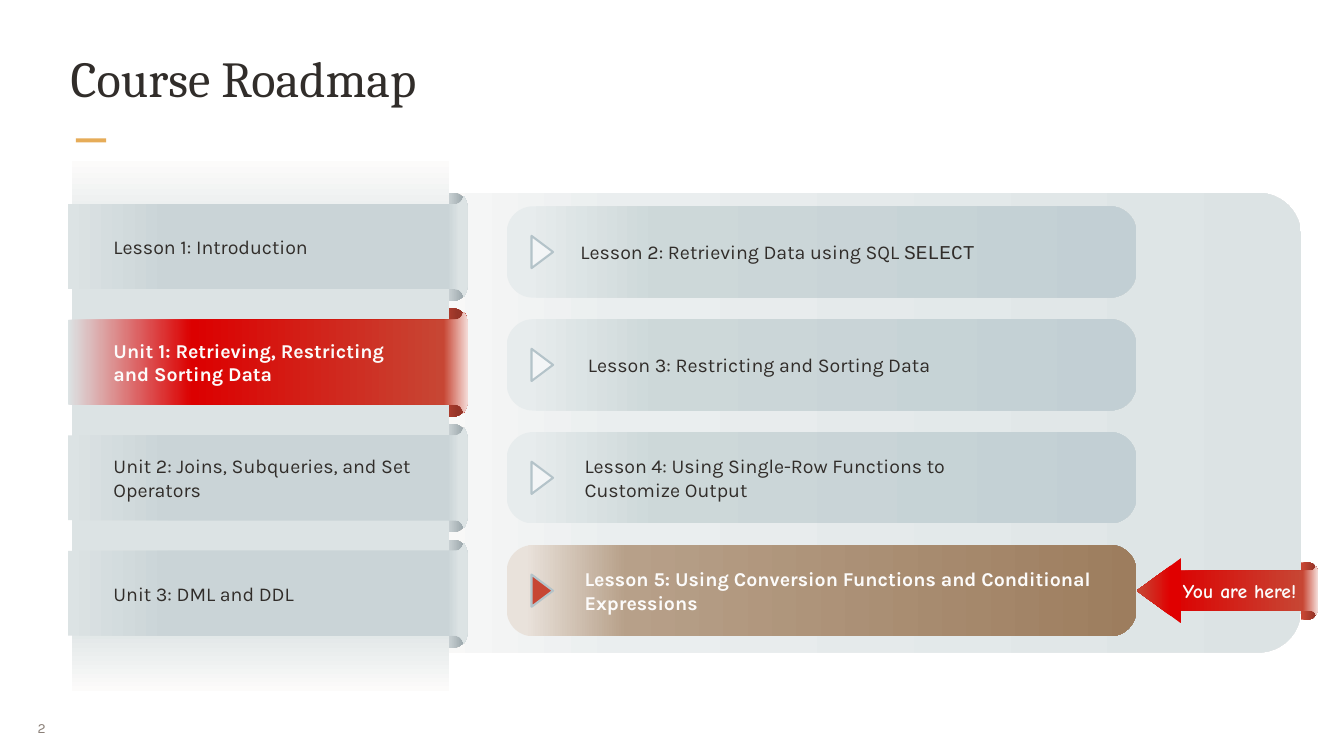
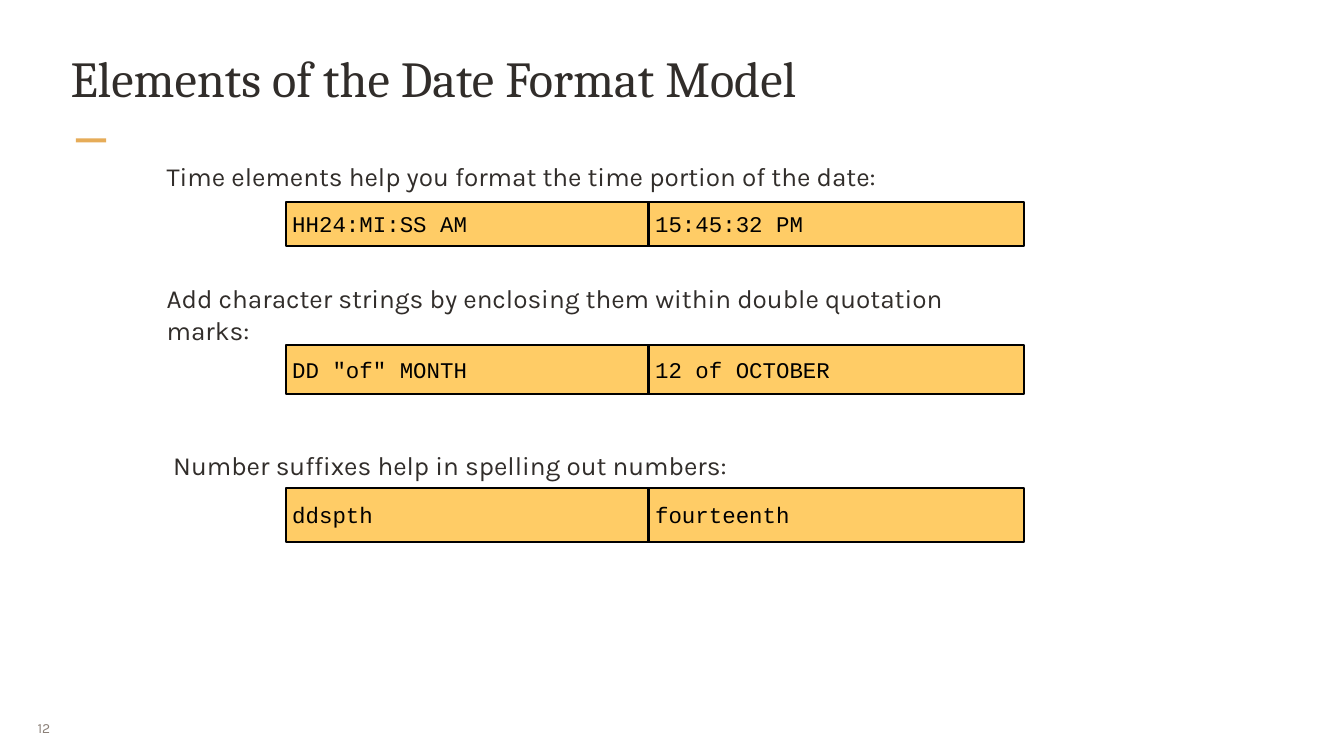
from lxml.etree import SubElement
from pptx import Presentation
from pptx.dml.color import RGBColor
from pptx.enum.shapes import MSO_SHAPE as SHAPE
from pptx.enum.text import MSO_ANCHOR as ANCHOR, PP_ALIGN as ALIGN
from pptx.oxml.ns import qn
from pptx.util import Inches, Pt

SANS, SERIF, MONO, CASUAL = "Karla", "Cambria", "Courier New", "Comic Neue"
DARK, LIGHT, MUTED, ACCENT = "312D2A", "FCFBFA", "8B8078", "E6AC58"
RED, BRICK, MIST, SAND = "DC0000", "C74634", "DCE3E4", "FFCC66"

# Gradients as (position, colour) stops
PANEL = [(0, LIGHT), (26, "EAEEEF"), (100, MIST)]
BAND = [(0, LIGHT), (17, MIST), (87, MIST), (100, LIGHT)]
LESSON = [(3, "E7ECED"), (24, "CDD8D9"), (100, "C2CFD4")]
LESSON_NOW = [(3, "E9E2DB"), (19, "B7A089"), (100, "9D7D5E")]
CURL = [(77, "DEE4E5"), (99, "96A2A7")]
CURL_NOW = [(73, BRICK), (92, "953427")]
RIBBON = [(0, MIST), (25, "CAD4D7"), (95, "CAD4D7"), (98, MIST)]
RIBBON_NOW = [(0, MIST), (31, RED), (94, BRICK), (100, "F4DAD6")]
ARROW_CURL = [(11, BRICK), (92, "953427")]
ARROW_BODY = [(0, RED), (90, BRICK), (100, "F4DAD6")]
ARROW_TIP = [(0, "E00000"), (23, "E00000"), (96, BRICK)]


def rgb(color):
    return RGBColor.from_string(color)


def curve(start, control, end, steps=5):
    """Points along a quadratic curve."""
    ts = [i / steps for i in range(steps + 1)]
    return [tuple((1 - t) ** 2 * a + 2 * t * (1 - t) * b + t * t * c
                  for a, b, c in zip(start, control, end)) for t in ts]


class Deck:
    def __init__(self):
        self.prs = Presentation()
        self.prs.slide_width, self.prs.slide_height = Inches(20), Inches(11.25)
        self.s = None

    def slide(self, title, number):
        self.s = self.prs.slides.add_slide(self.prs.slide_layouts[6])
        self.shape((1.13, 2.06, 0.45, 0.06), ACCENT)
        self.text((0.43, 10.54, 0.65, 0.58), str(number), 15, MUTED,
                  inset=(0.13, 0.07), align=ALIGN.JUSTIFY)
        self.text((1.02, 0.67, 17.96, 1.28), title, 54, font=SERIF,
                  inset=(0.03, 0.03), anchor=ANCHOR.TOP)

    def paint(self, sp, fill, line=None, angle=0):
        sp.shadow.inherit = False
        if isinstance(fill, str):
            sp.fill.solid()
            sp.fill.fore_color.rgb = rgb(fill)
        else:
            sp.fill.gradient()
            grad = sp.element.spPr.find(qn("a:gradFill"))
            stops = grad.find(qn("a:gsLst"))
            for old in list(stops):
                stops.remove(old)
            for pos, color in fill:
                gs = SubElement(stops, qn("a:gs"), pos=str(pos * 1000))
                SubElement(gs, qn("a:srgbClr"), val=color)
            grad.find(qn("a:lin")).set("ang", str(angle * 60000))
        if line:
            sp.line.color.rgb = rgb(line)
            sp.line.width = Pt(2.25)
        else:
            sp.line.fill.background()

    def shape(self, box, fill, kind=SHAPE.RECTANGLE, line=None, angle=0,
              corner=None, rotation=0):
        sp = self.s.shapes.add_shape(kind, *map(Inches, box))
        if corner:
            sp.adjustments[0] = corner
        sp.rotation = rotation
        self.paint(sp, fill, line, angle)
        return sp

    def outline(self, points, fill):
        points = [(Inches(x), Inches(y)) for x, y in points]
        builder = self.s.shapes.build_freeform(*points[0])
        builder.add_line_segments(points[1:], close=True)
        self.paint(builder.convert_to_shape(), fill)

    def ribbon(self, box, fold, fill):
        """A strip whose right end flares into folds above and below."""
        left, top, width, height = box
        right, middle = left + width, top + height / 2
        neck, tip = right - 0.95 * fold, right - 0.3 * fold
        edge = top + 0.6 * fold
        upper = [(left, edge)]
        upper += curve((neck, edge), (right - 0.45 * fold, edge), (tip, top))
        upper += curve((tip, top), (right, top + 0.4 * fold), (right, top + fold))
        lower = [(x, 2 * middle - y) for x, y in reversed(upper)]
        self.outline(upper + lower, fill)

    def fill_text(self, sp, runs, size, color, font, bold=False, inset=(0.1, 0.05),
                  align=ALIGN.LEFT, anchor=ANCHOR.MIDDLE):
        tf = sp.text_frame
        tf.word_wrap = True
        tf.vertical_anchor = anchor
        tf.margin_left = tf.margin_right = Inches(inset[0])
        tf.margin_top = tf.margin_bottom = Inches(inset[1])
        p = tf.paragraphs[0]
        p.alignment = align
        p.font.size, p.font.name, p.font.bold = Pt(size), font, bold
        p.font.color.rgb = rgb(color)
        for run in [runs] if isinstance(runs, str) else runs:
            r = p.add_run()
            if isinstance(run, str):
                r.text = run
            else:
                r.text, r.font.name = run

    def text(self, box, runs, size, color=DARK, font=SANS, **style):
        sp = self.s.shapes.add_textbox(*map(Inches, box))
        self.fill_text(sp, runs, size, color, font, **style)

    def label(self, left, center, width, lines, runs, now):
        """Roadmap text centred on a row; the current row is bold and light."""
        height = 0.09 + 0.36 * lines
        self.text((left, center - height / 2, width, height), runs, 21,
                  LIGHT if now else DARK, bold=now)

    def code_row(self, top, height, cells):
        for left, code in zip((4.25, 9.65), cells):
            sp = self.shape((left, top, 5.59, height), SAND, line="000000")
            self.fill_text(sp, code, 24, "000000", MONO)


def roadmap(deck):
    deck.slide("Course Roadmap", 2)
    deck.shape((5.74, 2.87, 13.62, 6.84), PANEL, SHAPE.ROUNDED_RECTANGLE, corner=0.093)

    # Lessons of the current unit: left, width, lines, text
    lessons = [
        (8.54, 7.37, 1, ["Lesson 2: Retrieving Data using SQL ", ("SELECT", MONO)]),
        (8.65, 6.7, 1, "Lesson 3: Restricting and Sorting Data"),
        (8.6, 6.7, 2, "Lesson 4: Using Single-Row Functions to Customize Output"),
        (8.6, 7.81, 2, "Lesson 5: Using Conversion Functions and Conditional Expressions"),
    ]
    for i, (left, width, lines, runs) in enumerate(lessons):
        now = i == 3
        top = 3.07 + 1.68 * i
        center = top + 0.68
        deck.shape((7.54, top, 9.37, 1.36), LESSON_NOW if now else LESSON,
                   SHAPE.ROUNDED_RECTANGLE, corner=0.289)
        deck.shape((7.83, center - 0.16, 0.48, 0.32), BRICK if now else "F3F5F6",
                   SHAPE.ISOSCELES_TRIANGLE, line="B4C3C9", rotation=90)
        deck.label(left, center, width, lines, runs, now)

    # "You are here" arrow
    left, top, right, bottom = 19.36, 8.37, 19.59, 9.22
    deck.outline([(left, top)]
                 + curve((19.45, top), (right, top), (right, top + 0.14))
                 + curve((right, bottom - 0.14), (right, bottom), (19.45, bottom))
                 + [(left, bottom)], ARROW_CURL)
    deck.ribbon((17.4, 8.43, 2.21, 0.72), 0.1, ARROW_BODY)
    deck.shape((16.76, 8.46, 0.97, 0.66), ARROW_TIP, SHAPE.ISOSCELES_TRIANGLE,
               angle=270, rotation=270)
    deck.text((17.41, 8.56, 2.07, 0.45), "You are here!", 21, LIGHT, CASUAL,
              bold=True, align=ALIGN.CENTER, anchor=ANCHOR.TOP)

    # Units: width, lines, text; the band lies between curls and ribbons
    units = [
        (3.99, 1, "Lesson 1: Introduction"),
        (4.81, 2, "Unit 1: Retrieving, Restricting and Sorting Data"),
        (4.89, 2, "Unit 2: Joins, Subqueries, and Set Operators"),
        (3.63, 1, "Unit 3: DML and DDL"),
    ]
    step, current = 1.72, 1
    for i in range(len(units)):
        deck.shape((5.36, 2.87 + step * i, 1.58, 1.61),
                   CURL_NOW if i == current else CURL,
                   SHAPE.ROUNDED_RECTANGLE, corner=0.126)
    deck.shape((1.07, 2.4, 5.61, 7.88), BAND, angle=90)
    for i, (width, lines, name) in enumerate(units):
        now = i == current
        top = 2.92 + step * i
        deck.ribbon((1.01, top, 5.95, 1.5), 0.2, RIBBON_NOW if now else RIBBON)
        deck.label(1.59, top + 0.75, width, lines, name, now)


def date_format(deck):
    deck.slide("Elements of the Date Format Model", 12)
    # Format models beside their results
    deck.code_row(3, 0.66, ("HH24:MI:SS AM", "15:45:32 PM"))
    deck.code_row(5.13, 0.74, ('DD "of" MONTH', "12 of OCTOBER"))
    deck.code_row(7.26, 0.8, ("ddspth", "fourteenth"))
    # Explanations
    deck.text((2.48, 2.38, 11.14, 0.47),
              "Time elements help you format the time portion of the date:",
              28, inset=(0, 0))
    deck.text((2.48, 4.44, 12.75, 0.47),
              "Add character strings by enclosing them within double quotation marks:",
              28, inset=(0, 0))
    deck.text((2.48, 6.63, 9.4, 0.57),
              "Number suffixes help in spelling out numbers:", 28)


def main():
    deck = Deck()
    roadmap(deck)
    date_format(deck)
    deck.prs.save("out.pptx")


if __name__ == "__main__":
    main()
